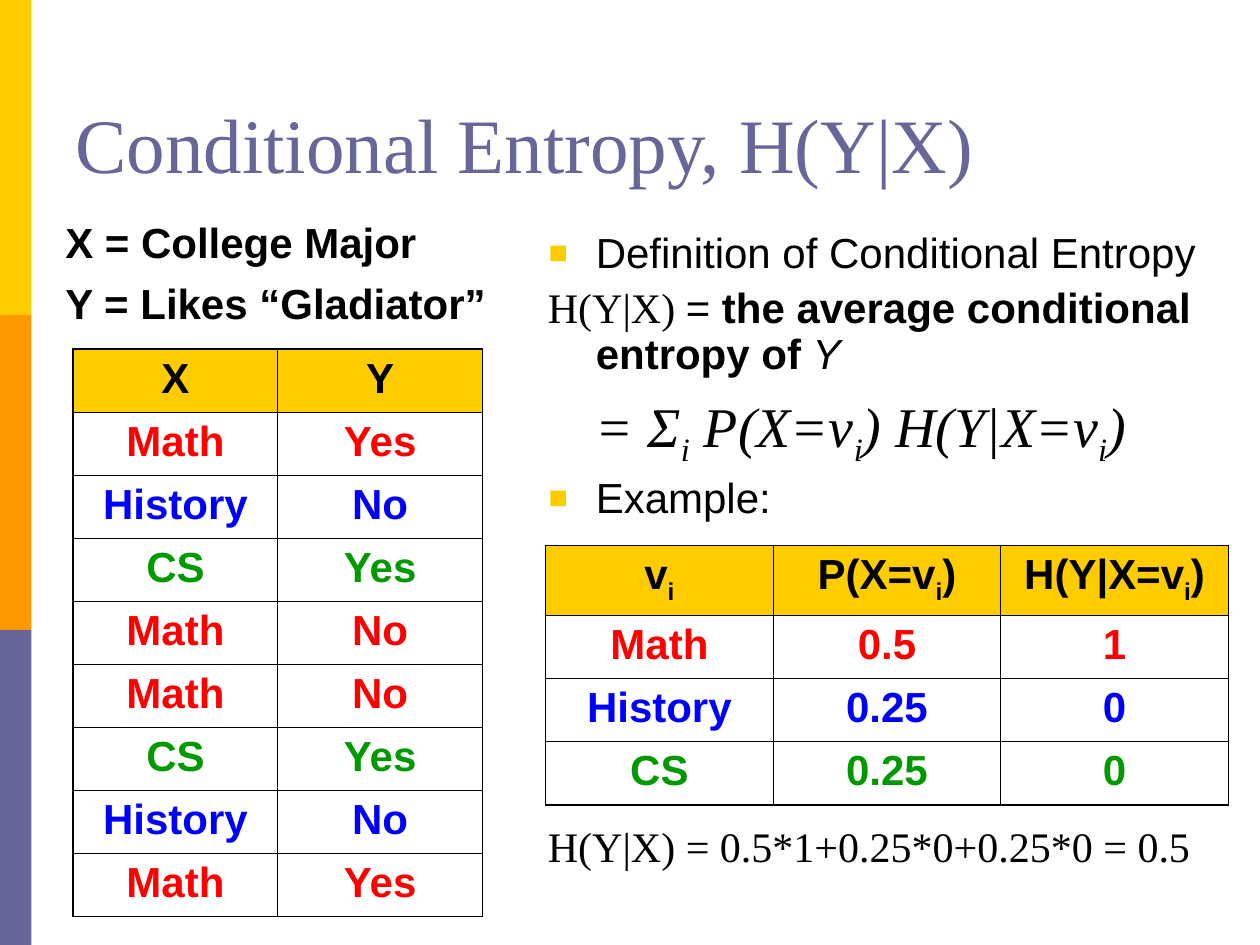
"""Build a slide explaining conditional entropy with two worked tables."""
from lxml import etree
from pptx import Presentation
from pptx.dml import color
from pptx.enum import shapes, text
from pptx.oxml import ns
from pptx.util import Inches, Pt

BLACK = color.RGBColor(0, 0, 0)
GOLD = color.RGBColor(0xFF, 0xCC, 0x00)
ORANGE = color.RGBColor(0xFF, 0x99, 0x00)
SLATE = color.RGBColor(0x66, 0x66, 0x99)
RED = color.RGBColor(0xFF, 0, 0)
BLUE = color.RGBColor(0, 0, 0xFF)
GREEN = color.RGBColor(0, 0x99, 0)
SERIF = "Times New Roman"
SANS = "Arial"

BANDS = [GOLD, ORANGE, SLATE]
MAJOR_COLORS = {"Math": RED, "History": BLUE, "CS": GREEN}
TITLE = "Conditional Entropy, H(Y|X)"
VARIABLES = ["X = College Major", "Y = Likes “Gladiator”"]
SURVEY = [
    ("X", "Y"),
    ("Math", "Yes"),
    ("History", "No"),
    ("CS", "Yes"),
    ("Math", "No"),
    ("Math", "No"),
    ("CS", "Yes"),
    ("History", "No"),
    ("Math", "Yes"),
]
ENTROPIES = [
    ("v_i_", "P(X=v_i_)", "H(Y|X=v_i_)"),
    ("Math", "0.5", "1"),
    ("History", "0.25", "0"),
    ("CS", "0.25", "0"),
]
AVERAGE = [
    ("H(Y|X) ", {"font": SERIF}),
    ("=", {}),
    (" the average conditional entropy of ", {"bold": True}),
    ("Y", {"italic": True}),
]
FORMULA = [("= Σ_i_ P(X=v_i_) H(Y|X=v_i_)", {"font": SERIF, "size": 32, "italic": True})]
RESULT = [("H(Y|X) = 0.5*1+0.25*0+0.25*0 = 0.5", {"font": SERIF})]
DEFINITION = [
    ("Definition of Conditional Entropy", {"bullet": True}),
    (AVERAGE, {"spacing": 0.9}),
    (FORMULA, {"spacing": 0.9, "before": 8, "hanging": 0}),
    ("Example:", {"bullet": True}),
    (RESULT, {"spacing": 0.9, "before": 174}),
]


def add_runs(paragraph, content, font=SANS, size=24, ink=BLACK, bold=False, italic=False):
    for index, piece in enumerate(content.split("_")):
        if piece:
            run = paragraph.add_run()
            run.text = piece
            run.font.name, run.font.size = font, Pt(size)
            run.font.bold, run.font.italic = bold, italic
            run.font.color.rgb = ink
            if index % 2:
                run._r.get_or_add_rPr().set("baseline", "-25000")


def write(paragraph, content, align=text.PP_ALIGN.LEFT, before=6, spacing=None,
          margin=0, hanging=None, bullet=False, **style):
    paragraph.alignment = align
    paragraph.space_before = Pt(before)
    if spacing:
        paragraph.line_spacing = spacing
    properties = paragraph._p.get_or_add_pPr()
    properties.set("marL", str(Inches(margin)))
    properties.set("indent", str(-Inches(margin if hanging is None else hanging)))
    if bullet:
        tint = etree.SubElement(properties, ns.qn("a:buClr"))
        etree.SubElement(tint, ns.qn("a:srgbClr"), val=str(GOLD))
        etree.SubElement(properties, ns.qn("a:buSzPct"), val="150000")
        etree.SubElement(properties, ns.qn("a:buFont"), typeface=SANS)
        etree.SubElement(properties, ns.qn("a:buChar"), char="▪")
    else:
        etree.SubElement(properties, ns.qn("a:buNone"))
    parts = [(content, {})] if isinstance(content, str) else content
    for part, part_style in parts:
        add_runs(paragraph, part, **{**style, **part_style})


def add_text(slide, box, paragraphs, anchor=text.MSO_ANCHOR.TOP):
    frame = slide.shapes.add_textbox(*map(Inches, box)).text_frame
    frame.word_wrap = True
    frame.vertical_anchor = anchor
    for index, (content, style) in enumerate(paragraphs):
        paragraph = frame.add_paragraph() if index else frame.paragraphs[0]
        write(paragraph, content, **style)


def set_borders(cell, outer_sides):
    properties = cell._tc.get_or_add_tcPr()
    for index, side in enumerate("LRTB"):
        width = Pt(1.08 if side in outer_sides else 0.45)
        line = etree.Element(ns.qn(f"a:ln{side}"), w=str(width))
        fill = etree.SubElement(line, ns.qn("a:solidFill"))
        etree.SubElement(fill, ns.qn("a:srgbClr"), val=str(BLACK))
        properties.insert(index, line)


def add_grid(slide, rows, left, top, width, heights):
    row_count, column_count = len(rows), len(rows[0])
    table = slide.shapes.add_table(
        row_count, column_count, Inches(left), Inches(top), Inches(width), Inches(sum(heights))
    ).table
    table.first_row = table.horz_banding = False
    for row, height in zip(table.rows, heights):
        row.height = Inches(height)
    for r, values in enumerate(rows):
        for c, value in enumerate(values):
            cell = table.cell(r, c)
            if r:
                cell.fill.background()
            else:
                cell.fill.solid()
                cell.fill.fore_color.rgb = GOLD
            edges = {"L": c == 0, "R": c == column_count - 1, "T": r == 0, "B": r == row_count - 1}
            set_borders(cell, [side for side, outer in edges.items() if outer])
            write(cell.text_frame.paragraphs[0], value, align=text.PP_ALIGN.CENTER,
                  bold=True, ink=MAJOR_COLORS.get(values[0], BLACK))


def main():
    deck = Presentation()
    deck.slide_width, deck.slide_height = Inches(10), Inches(7.5)
    slide = deck.slides.add_slide(deck.slide_layouts[6])
    for index, tint in enumerate(BANDS):
        band = slide.shapes.add_shape(
            shapes.MSO_SHAPE.RECTANGLE, 0, Inches(2.5 * index), Inches(0.25), Inches(2.5)
        )
        band.shadow.inherit = False
        band.fill.solid()
        band.fill.fore_color.rgb = tint
        band.line.fill.background()
    title_style = {"font": SERIF, "size": 44, "ink": SLATE, "before": 0}
    add_text(slide, (0.5, 0.3, 9, 1.25), [(TITLE, title_style)], text.MSO_ANCHOR.BOTTOM)
    add_grid(slide, SURVEY, 0.58, 2.77, 3.25, [4.48 / len(SURVEY)] * len(SURVEY))
    add_text(slide, (4.25, 1.75, 5.75, 5.75),
             [(content, {"margin": 0.38, **style}) for content, style in DEFINITION])
    add_text(slide, (0.42, 1.67, 3.58, 1.17),
             [(line, {"margin": 0.38, "bold": True}) for line in VARIABLES])
    add_grid(slide, ENTROPIES, 4.33, 4.33, 5.42, [0.53, 0.49, 0.49, 0.49])
    deck.save("out.pptx")


if __name__ == "__main__":
    main()
